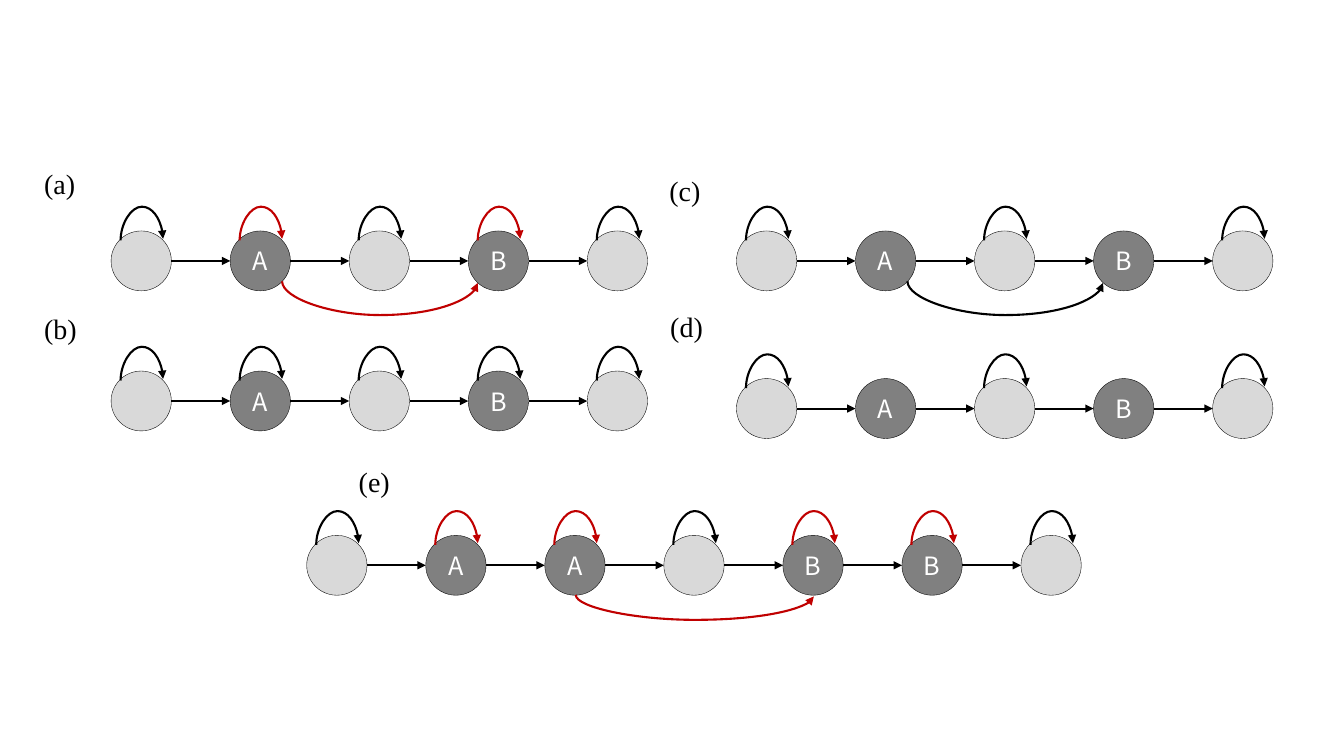
from lxml import etree
from pptx import Presentation
from pptx.dml.color import RGBColor
from pptx.enum.shapes import MSO_CONNECTOR, MSO_SHAPE
from pptx.enum.text import MSO_ANCHOR, MSO_AUTO_SIZE, PP_ALIGN
from pptx.oxml.ns import qn
from pptx.util import Cm, Pt

STRAIGHT, CURVE = MSO_CONNECTOR.STRAIGHT, MSO_CONNECTOR.CURVE
OVAL = MSO_SHAPE.OVAL
MIDDLE = MSO_ANCHOR.MIDDLE
FIT_SHAPE = MSO_AUTO_SIZE.SHAPE_TO_FIT_TEXT
LEFT, CENTER = PP_ALIGN.LEFT, PP_ALIGN.CENTER
rgb = RGBColor.from_string

BLACK, RED, WHITE = "000000", "C00000", "FFFFFF"
PALE, DARK = "D9D9D9", "808080"
LOOP_COLORS = {"k": BLACK, "r": RED}

# All lengths in centimetres
PITCH, NODE_W, NODE_H = 3, 1.52, 1.51
LOOP_X, LOOP_Y, LOOP_SPAN, BULGE = 0.24, 0.24, 1.07, 0.85
DROP = 0.04  # height difference between the two ends of a curve


def add_text(sp, text, size=18, font="Noto Sans CJK SC", color=WHITE, align=CENTER):
    p = sp.text_frame.paragraphs[0]
    p.alignment = align
    r = p.add_run()
    r.text = text
    r.font.size = Pt(size)
    r.font.name = font
    r.font.color.rgb = rgb(color)


def add_arrow(shapes, x1, y1, x2, color=BLACK, bulge=0):
    """Arrow from (x1, y1) to x2: straight, or arched up (bulge > 0) or down (bulge < 0)."""
    if not bulge:
        c = shapes.add_connector(STRAIGHT, Cm(x1), Cm(y1), Cm(x2), Cm(y1))
    else:
        # The curve is laid out upright around its centre, then turned by a quarter
        up = 1 if bulge > 0 else -1
        cx, cy, half = (x1 + x2) / 2, y1 - up * DROP / 2, (x2 - x1) / 2
        c = shapes.add_connector(CURVE, Cm(cx + DROP / 2), Cm(cy + up * half),
                                 Cm(cx - DROP / 2), Cm(cy - up * half))
        c.element.spPr.find(qn("a:xfrm")).set("rot", str((90 if up > 0 else 270) * 60000))
        guides = c.element.spPr.find(qn("a:prstGeom")).find(qn("a:avLst"))
        etree.SubElement(guides, qn("a:gd"), name="adj1",
                         fmla=f"val {round(abs(bulge) / DROP * 100000)}")
    c.line.width = Pt(1.5)
    c.line.color.rgb = rgb(color)
    spPr = c.element.spPr
    etree.SubElement(spPr.find(qn("a:ln")), qn("a:tailEnd"), type="triangle")
    etree.SubElement(spPr, qn("a:effectLst"))


prs = Presentation()
prs.slide_width, prs.slide_height = Cm(33.87), Cm(19.05)
s = prs.slides.add_slide(prs.slide_layouts[6])

# left, top, node names ("-" unnamed), self-loops ("-" none),
# skip arrow: from node, to node, x offsets in them, y offset, bulge, colour
side_skip = (1, 3, 1.31, 0.24, 1.27, -BULGE)
chains = [
    (2.8, 5.82, "-A-B-", "krkrk", (*side_skip, RED)),
    (2.8, 9.35, "-A-B-", "kkkkk", None),
    (18.56, 5.82, "-A-B-", "k-k-k", (*side_skip, BLACK)),
    (18.56, 9.54, "-A-B-", "k-k-k", None),
    (7.73, 13.49, "-AA-BB-", "krrkrrk", (2, 4, 0.78, 0.78, 1.5, -0.63, RED)),
]
for left, top, names, loops, skip in chains:
    shapes = s.shapes.add_group_shape().shapes
    for i, (name, loop) in enumerate(zip(names, loops)):
        x = left + i * PITCH
        node = shapes.add_shape(OVAL, Cm(x), Cm(top), Cm(NODE_W), Cm(NODE_H))
        node.shadow.inherit = False
        node.fill.solid()
        node.fill.fore_color.rgb = rgb(PALE if name == "-" else DARK)
        node.line.color.rgb = rgb(BLACK)
        node.line.width = Pt(0.25)
        node.text_frame.vertical_anchor = MIDDLE
        if name != "-":
            add_text(node, name)
        if i < len(names) - 1:
            add_arrow(shapes, x + NODE_W, top + NODE_H / 2, x + PITCH)
        if loop != "-":
            add_arrow(shapes, x + LOOP_X, top + LOOP_Y, x + LOOP_X + LOOP_SPAN,
                      LOOP_COLORS[loop], BULGE)
    if skip:
        start, end, start_x, end_x, y, bulge, color = skip
        add_arrow(shapes, left + start * PITCH + start_x, top + y,
                  left + end * PITCH + end_x, color, bulge)

panel_labels = [("(a)", 0.86, 4.06), ("(b)", 0.86, 7.73), ("(c)", 16.62, 4.24),
                ("(d)", 16.64, 7.68), ("(e)", 8.79, 11.57)]
for label, x, y in panel_labels:
    box = s.shapes.add_textbox(Cm(x), Cm(y), Cm(1.4), Cm(1.11))
    box.text_frame.word_wrap = False
    box.text_frame.auto_size = FIT_SHAPE
    add_text(box, label, size=20, font="Times New Roman", color=BLACK, align=LEFT)

prs.save("out.pptx")
